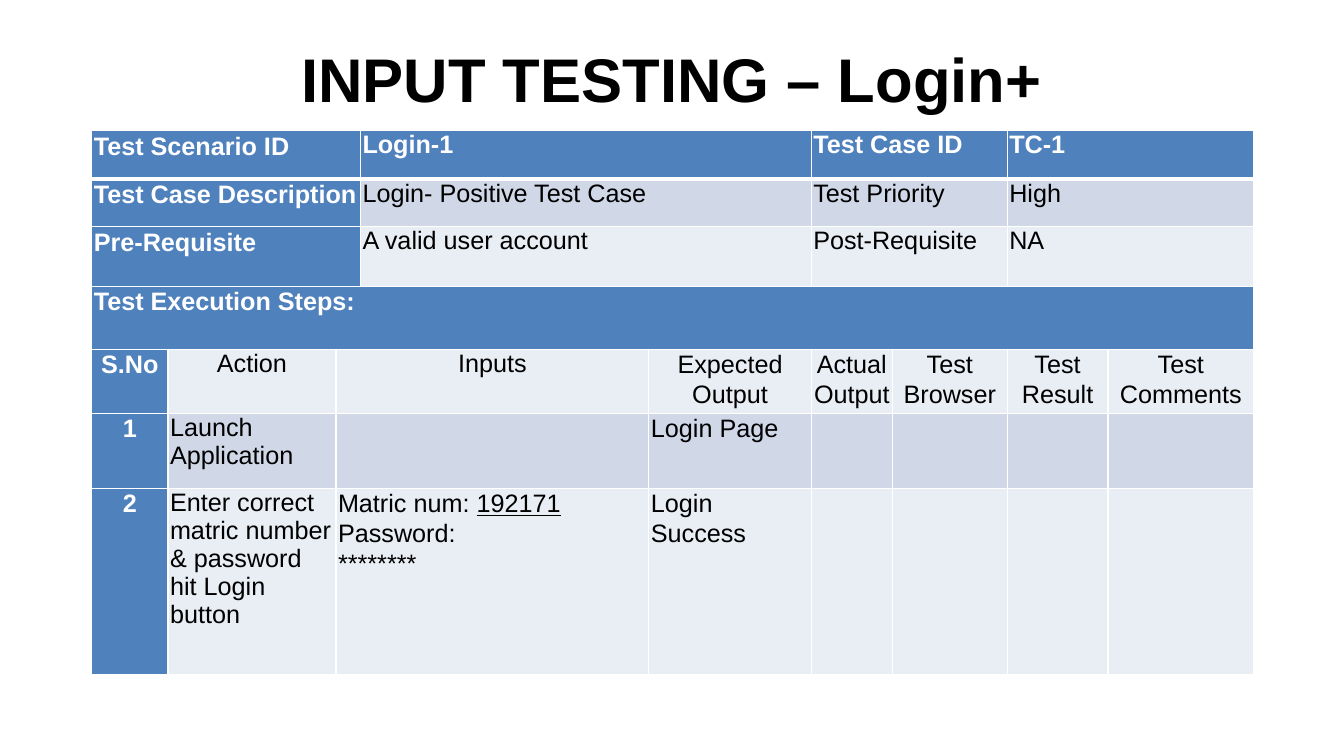
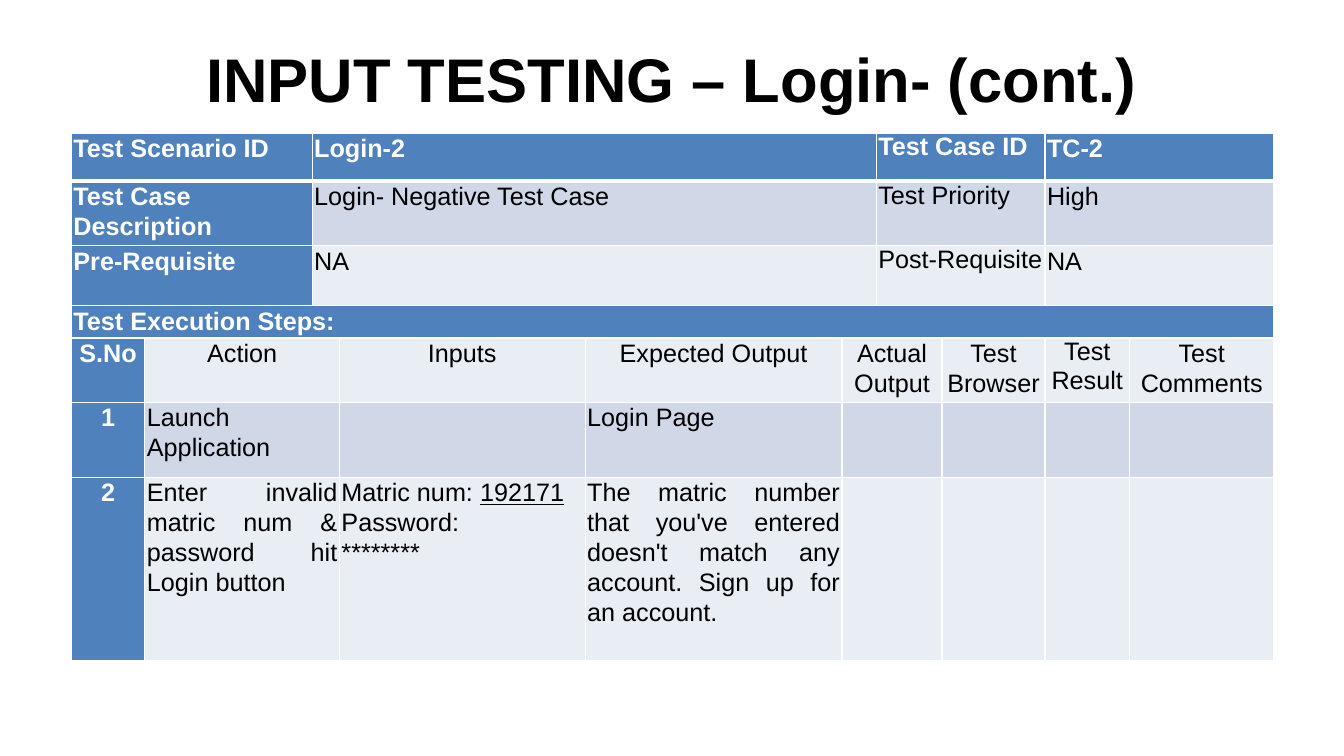
from dataclasses import dataclass, field
from itertools import product

from lxml.etree import SubElement
from pptx import Presentation
from pptx.dml.color import RGBColor
from pptx.enum.text import PP_ALIGN as Align
from pptx.oxml.ns import qn
from pptx.util import Pt

BLACK = RGBColor(0x00, 0x00, 0x00)
WHITE = RGBColor(0xFF, 0xFF, 0xFF)
BLUE = RGBColor(0x4F, 0x81, 0xBD)
BAND_DARK = RGBColor(0xD0, 0xD8, 0xE8)
BAND_LIGHT = RGBColor(0xE9, 0xED, 0xF4)
FONT = "Arial"
SLIDE_WIDTH, SLIDE_HEIGHT = 960, 540
LINE_SPACING = 1.06

# Table rows: three of details, one heading, then the execution steps
HEADING_ROW, STEP_HEADER_ROW = 3, 4
BAND_ROWS = (1, 5)
STEP_HEADERS = ["S.No", "Action", "Inputs", "Expected Output", "Actual Output",
                "Test Browser", "Test Result", "Test Comments"]
# Text between underscores is underlined
CREDENTIALS = "Matric num: _192171_\nPassword:\n********"


@dataclass
class TestCase:
    title: str
    left: float
    top: float
    widths: list
    heights: list
    detail_spans: list
    step_spans: list
    details: list
    steps: list
    single_spaced: set = field(default_factory=set)  # (row, entry)
    justified: set = field(default_factory=set)  # (row, entry)


CASES = [
    TestCase(
        title="INPUT TESTING – Login+",
        left=65.5, top=93.5,
        widths=[54.5, 120, 17.5, 206, 116, 58, 82, 72, 104],
        heights=[34.5, 34, 42.5, 45, 45.5, 53.5, 133],
        detail_spans=[3, 2, 2, 2],
        step_spans=[1, 1, 2, 1, 1, 1, 1, 1],
        details=[
            ["Test Scenario ID", "Login-1", "Test Case ID", "TC-1"],
            ["Test Case Description", "Login- Positive Test Case",
             "Test Priority", "High"],
            ["Pre-Requisite", "A valid user account", "Post-Requisite", "NA"],
        ],
        steps=[
            ["1", "Launch Application", "", "Login Page"],
            ["2", "Enter correct matric number & password hit Login button",
             CREDENTIALS, "Login Success"],
        ],
        single_spaced={*product(range(3), range(1, 4)),
                       (4, 1), (4, 2), (5, 1), (6, 1)},
    ),
    TestCase(
        title="INPUT TESTING – Login- (cont.)",
        left=51, top=95,
        widths=[52.5, 119.5, 19.5, 175.5, 183.5, 24.5, 47, 73.5, 60.5, 103],
        heights=[34.5, 46, 43, 23, 46, 53.5, 131],
        detail_spans=[2, 4, 2, 2],
        step_spans=[1, 2, 1, 1, 2, 1, 1, 1],
        details=[
            ["Test Scenario ID", "Login-2", "Test Case ID", "TC-2"],
            ["Test Case Description", "Login- Negative Test Case",
             "Test Priority", "High"],
            ["Pre-Requisite", "NA", "Post-Requisite", "NA"],
        ],
        steps=[
            ["1", "Launch Application", "", "Login Page"],
            ["2", "Enter invalid matric num & password hit Login button",
             CREDENTIALS,
             "The matric number that you've entered doesn't match any "
             "account. Sign up for an account."],
        ],
        single_spaced={(0, 2), (1, 2), (2, 2), (4, 6)},
        justified={(6, 1), (6, 3)},
    ),
]


def style_span(span, size, color, bold):
    span.font.name = FONT
    span.font.size = Pt(size)
    span.font.color.rgb = color
    span.font.bold = bold


def add_title(page, text, left, top, width, height):
    box = page.shapes.add_textbox(Pt(left), Pt(top), Pt(width), Pt(height))
    frame = box.text_frame
    frame.word_wrap = True
    frame.margin_top, frame.margin_bottom = Pt(8), 0
    frame.text = text
    para = frame.paragraphs[0]
    para.alignment = Align.CENTER
    style_span(para.runs[0], 44, BLACK, True)


def frame_cell(cell, row):
    """White rules, with a heavy one under the first row."""
    cell.margin_left = cell.margin_right = Pt(1.5)
    cell.margin_top = cell.margin_bottom = 0
    weights = {"lnL": 1, "lnR": 1,
               "lnT": 3 if row == 1 else 1, "lnB": 3 if row == 0 else 1}
    properties = cell._tc.get_or_add_tcPr()
    for side, weight in weights.items():
        line = SubElement(properties, qn(f"a:{side}"), w=str(Pt(weight)))
        fill = SubElement(line, qn("a:solidFill"))
        SubElement(fill, qn("a:srgbClr"), val=str(WHITE))


def write_cell(cell, text, color, bold, alignment, spacing):
    frame = cell.text_frame
    for index, line in enumerate(text.split("\n")):
        para = frame.add_paragraph() if index else frame.paragraphs[0]
        para.alignment = alignment
        para.line_spacing = spacing
        for part, words in enumerate(line.split("_")):
            if words:
                span = para.add_run()
                span.text = words
                style_span(span, 18, color, bold)
                span.font.underline = part % 2 == 1


def add_case_table(page, case, left, top):
    rows = [*case.details, ["Test Execution Steps:"], STEP_HEADERS, *case.steps]
    table = page.shapes.add_table(
        len(rows), len(case.widths), Pt(left), Pt(top),
        Pt(sum(case.widths)), Pt(sum(case.heights))).table
    table.first_row = table.horz_banding = False
    for column, width in zip(table.columns, case.widths):
        column.width = Pt(width)

    for row, texts in enumerate(rows):
        table.rows[row].height = Pt(case.heights[row])
        for column in range(len(case.widths)):
            frame_cell(table.cell(row, column), row)

        if row < HEADING_ROW:
            spans = case.detail_spans
        elif row == HEADING_ROW:
            spans = [len(case.widths)]
        else:
            spans = case.step_spans
        texts = texts + [""] * (len(spans) - len(texts))

        column = 0
        for entry, (text, count) in enumerate(zip(texts, spans)):
            cell = table.cell(row, column)
            if count > 1:
                cell.merge(table.cell(row, column + count - 1))
            column += count

            is_header = row == 0 or entry == 0
            cell.fill.solid()
            cell.fill.fore_color.rgb = (
                BLUE if is_header
                else BAND_DARK if row in BAND_ROWS else BAND_LIGHT)
            alignment = Align.LEFT
            if row == STEP_HEADER_ROW or row > HEADING_ROW and entry == 0:
                alignment = Align.CENTER
            elif (row, entry) in case.justified:
                alignment = Align.JUSTIFY
            spacing = 1.0 if (row, entry) in case.single_spaced else LINE_SPACING
            write_cell(cell, text, WHITE if is_header else BLACK, is_header,
                       alignment, spacing)


def add_case_slide(deck, case):
    page = deck.slides.add_slide(deck.slide_layouts[6])
    add_title(page, case.title, 0, 21, SLIDE_WIDTH, 49)
    add_case_table(page, case, case.left, case.top)


def main():
    deck = Presentation()
    deck.slide_width, deck.slide_height = Pt(SLIDE_WIDTH), Pt(SLIDE_HEIGHT)
    for case in CASES:
        add_case_slide(deck, case)
    deck.save("out.pptx")


if __name__ == "__main__":
    main()
